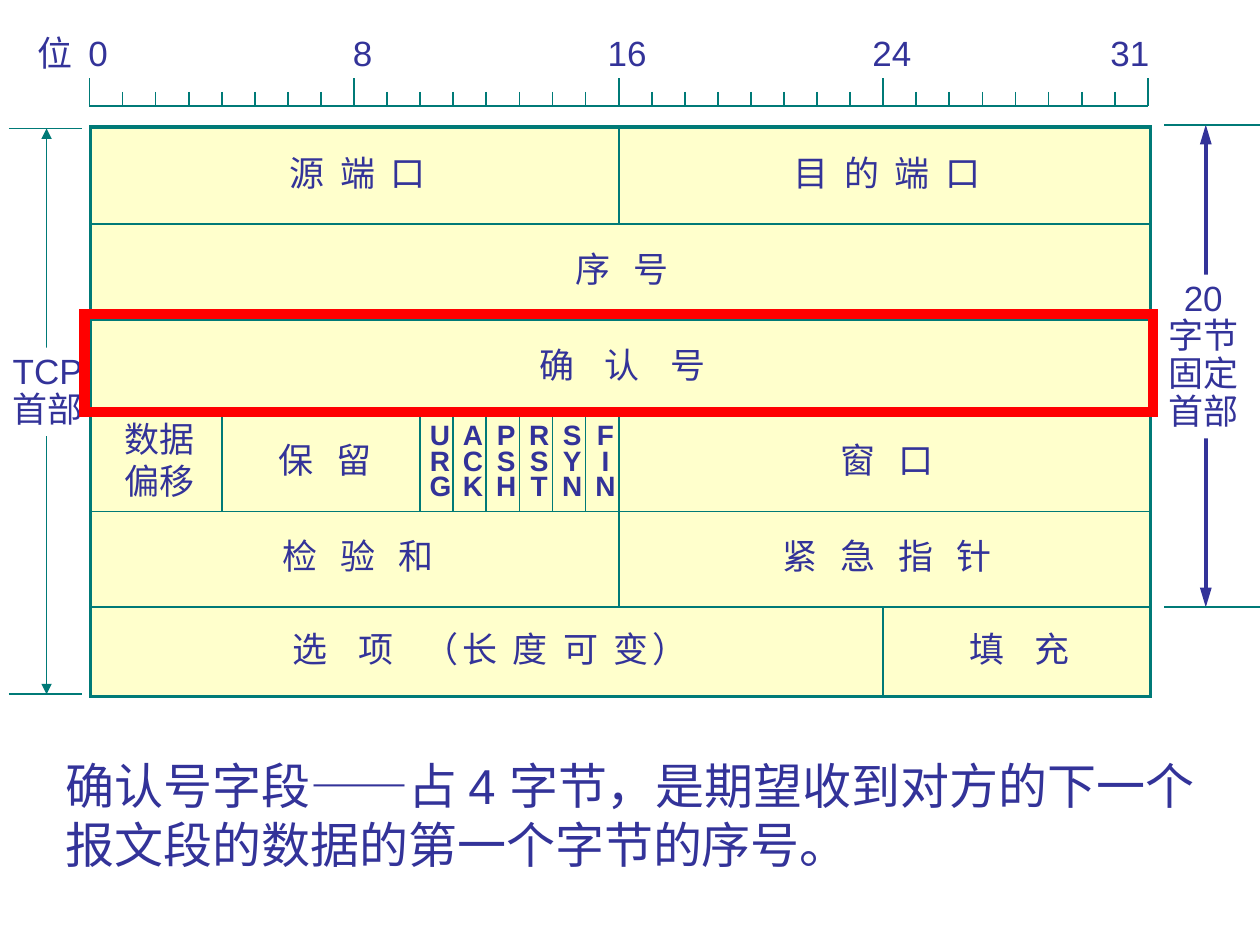
from pptx import Presentation
from pptx.dml.color import RGBColor as RGB
from pptx.enum.shapes import MSO_CONNECTOR as CONN, MSO_SHAPE as SHAPE
from pptx.enum.text import MSO_ANCHOR as ANCHOR, PP_ALIGN as ALIGN
from pptx.oxml.ns import qn
from pptx.util import Inches, Pt
from lxml.etree import SubElement

COLORS = {"text": "333399", "rule": "007A77", "field": "FFFFCC",
          "mark": "FF0000", "paper": "FFFFFF"}
LEFT, TOP, WIDTH, ROW = 0.71, 1.02, 8.4, 0.76
BOTTOM = 5.53
BIT = WIDTH / 32
RULER = 0.84
SPACE = 0.07
EM = 0.28

# row: (first bit, last bit, [(words, spaces between words)])
HEADER_ROWS = [
    [(0, 16, [("源 端 口", 2)]), (16, 32, [("目 的 端 口", 2)])],
    [(0, 32, [("序 号", 3)])],
    [(0, 32, [("确 认 号", 4)])],
    [(0, 4, [("数据\n偏移", 1)]), (4, 10, [("保 留", 3)]),
     (16, 32, [("窗 口", 3)])],
    [(0, 16, [("检 验 和", 3)]), (16, 32, [("紧 急 指 针", 3)])],
    [(0, 24, [("选 项 ", 4), ("（长 度 可 变）", 2)]),
     (24, 32, [("填 充", 4)])],
]
FLAGS = ["URG", "ACK", "PSH", "RST", "SYN", "FIN"]
FLAG_ROW, FLAG_BIT = 3, 10
SCALE = {0: "0", 8: "8", 16: "16", 24: "24", 31.2: "31"}
CAPTION = "确认号字段——占 4 字节，是期望收到对方的下一个报文段的数据的第一个字节的序号。"


def color(name):
    return RGB.from_string(COLORS[name])


def bit_x(bit):
    return LEFT + bit * BIT


def row_y(row):
    return min(TOP + row * ROW, BOTTOM)


def add_line(slide, x1, y1, x2, y2, name="rule", width=1, arrow=None):
    c = slide.shapes.add_connector(
        CONN.STRAIGHT, *(Inches(v) for v in (x1, y1, x2, y2)))
    c.line.color.rgb = color(name)
    c.line.width = Pt(width)
    if arrow:
        ln = c.line._get_or_add_ln()
        for end in ("a:headEnd", "a:tailEnd"):
            SubElement(ln, qn(end), type="triangle", len=arrow)
    SubElement(c._element.spPr, qn("a:effectLst"))


def add_box(slide, x, y, w, h, fill=None, line=None, width=1):
    sp = slide.shapes.add_shape(
        SHAPE.RECTANGLE, *(Inches(v) for v in (x, y, w, h)))
    sp.shadow.inherit = False
    if fill:
        sp.fill.solid()
        sp.fill.fore_color.rgb = color(fill)
    else:
        sp.fill.background()
    if line:
        sp.line.color.rgb = color(line)
        sp.line.width = Pt(width)
        SubElement(sp.line._get_or_add_ln(), qn("a:miter"), lim="800000")
    else:
        sp.line.fill.background()
    return sp


def write(sp, parts, size=20, bold=False, align=ALIGN.CENTER, spacing=1.0,
          anchor=ANCHOR.MIDDLE, wrap=False):
    tf = sp.text_frame
    tf.word_wrap, tf.vertical_anchor = wrap, anchor
    p = tf.paragraphs[0]
    paragraphs = [p]
    for text, gap in parts:
        for i, line in enumerate(text.split("\n")):
            if i:
                p = tf.add_paragraph()
                paragraphs.append(p)
            r = p.add_run()
            r.text = line
            for key, value in {"name": "Arial", "size": Pt(size), "bold": bold}.items():
                setattr(r.font, key, value)
            r.font.color.rgb = color("text")
            if gap > 1:
                r._r.get_or_add_rPr().set("spc", str(215 * (gap - 1)))
    for p in paragraphs:
        p.alignment, p.line_spacing = align, spacing


def add_label(slide, cx, cy, w, h, parts, **style):
    sp = slide.shapes.add_textbox(
        *(Inches(v) for v in (cx - w / 2, cy - h / 2, w, h)))
    write(sp, parts, **style)
    return sp


def label_width(parts):
    words = [(text.split("\n")[0], gap) for text, gap in parts]
    return 0.2 + sum(EM * len(t.replace(" ", "")) + SPACE * gap * t.count(" ")
                     for t, gap in words)


def add_ruler(slide):
    add_line(slide, LEFT, RULER, LEFT + WIDTH, RULER)
    for bit in range(33):
        height = 0.11 if bit % 8 else 0.22
        add_line(slide, bit_x(bit), RULER - height, bit_x(bit), RULER)
    text = "\t".join(["位", *SCALE.values()])
    sp = add_label(slide, 4.72, 0.42, 9.04, 0.43, [(text, 1)],
                   align=ALIGN.LEFT, wrap=True)
    tabs = SubElement(sp.text_frame.paragraphs[0]._p.get_or_add_pPr(), qn("a:tabLst"))
    for bit in SCALE:
        stop = Inches(bit_x(bit) + 0.07 - 0.3)
        SubElement(tabs, qn("a:tab"), pos=str(int(stop)), algn="ctr")


def add_header(slide):
    add_box(slide, LEFT + 0.01, TOP - 0.01, WIDTH + 0.01, 4.52, "field", "rule", 2)
    for row, cells in enumerate(HEADER_ROWS):
        y, end = row_y(row), row_y(row + 1)
        if row:
            add_line(slide, LEFT, y, LEFT + WIDTH + 0.02, y)
        for first, last, parts in cells:
            if first:
                add_line(slide, bit_x(first), y, bit_x(first), end)
            height = 0.76 if "\n" in parts[0][0] else 0.43
            add_label(slide, bit_x((first + last) / 2) + 0.03,
                      (y + end) / 2 - 0.03, label_width(parts), height, parts)


def add_flags(slide):
    y, end = row_y(FLAG_ROW), row_y(FLAG_ROW + 1)
    for bit, flag in enumerate(FLAGS, FLAG_BIT):
        add_line(slide, bit_x(bit), y, bit_x(bit), end)
        add_label(slide, bit_x(bit + 0.6), (y + end) / 2, 0.36, 0.7,
                  [("\n".join(flag), 1)], size=16, bold=True, spacing=0.75)


def add_extent(slide, x, top, bottom, ends, label, box, name, width, arrow):
    add_line(slide, x, top, x, bottom, name, width, arrow)
    for y in (top, bottom):
        add_line(slide, ends[0], y, ends[1], y)
    write(add_box(slide, *box, fill="paper"), [(label, 1)], spacing=0.9)


def main():
    prs = Presentation()
    prs.slide_width, prs.slide_height = Inches(10), Inches(7.5)
    slide = prs.slides.add_slide(prs.slide_layouts[6])
    add_extent(slide, 0.37, TOP, BOTTOM - 0.02, (0.07, 0.65), "TCP\n首部",
               (0, 2.76, 0.76, 0.7), "rule", 1, "med")
    add_extent(slide, 9.57, 0.99, row_y(5), (9.24, 10), "20\n字节\n固定\n首部",
               (9.17, 2.18, 0.76, 1.3), "text", 2.25, "lg")
    add_ruler(slide)
    add_header(slide)
    add_flags(slide)
    add_label(slide, 5.03, 6.47, 9.21, 1.04, [(CAPTION, 1)], size=28,
              align=ALIGN.LEFT, anchor=ANCHOR.TOP, wrap=True)
    add_box(slide, LEFT - 0.04, row_y(2) - 0.05, WIDTH + 0.08, 0.78,
            line="mark", width=6)
    prs.save("out.pptx")


if __name__ == "__main__":
    main()
